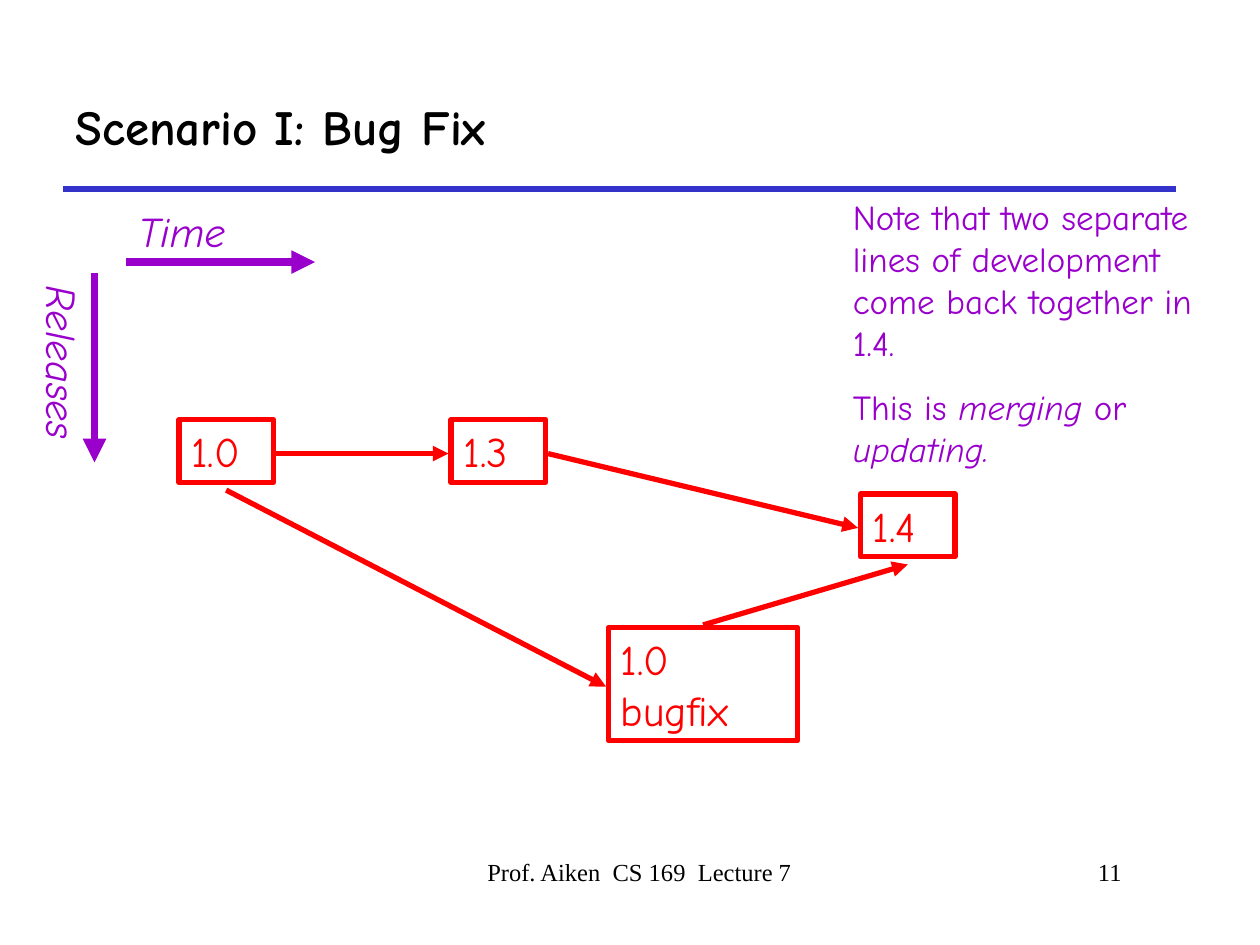
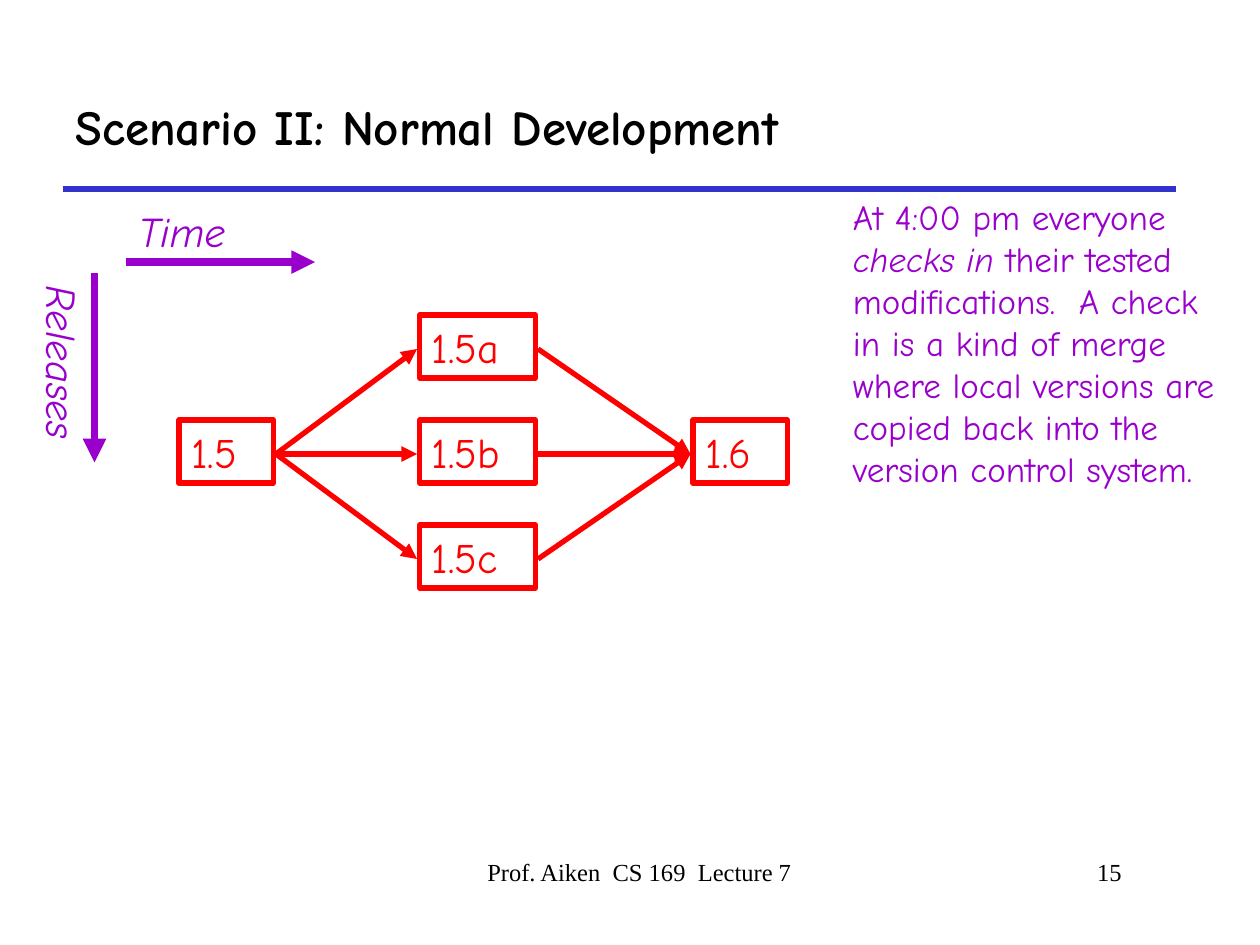
from lxml import etree
from pptx import Presentation
from pptx.dml.color import RGBColor
from pptx.enum import shapes, text
from pptx.oxml import ns
from pptx.util import Inches, Pt

COLORS = {"ink": "000000", "rule": "3333CC", "release": "FF0000", "note": "9900CC"}
HAND, SERIF = "Comic Neue", "Times New Roman"
AXES = (0.5, 1.58, 2, 2.09)
NOTE = (6.67, 1.5, 3.08, 2.28)
DIAGRAM = (1.42, 2.5, 6.16, 3.38)
FOOTER = (3.08, 6.75, 5.92, 0.5)
BOX_W, BOX_H = 0.75, 0.5
GAP, GAP_BELOW = 0.02, 0.06  # space between a release box and its arrows


def color(name):
    return RGBColor.from_string(COLORS[name])


def write(shape, paragraphs, size, tint, font=HAND, bold=False, before=0,
          align=text.PP_ALIGN.LEFT, anchor=text.MSO_ANCHOR.TOP, grow=True):
    """Fill a shape with paragraphs, each a list of (words, italic) runs."""
    frame = shape.text_frame
    frame.word_wrap = True
    frame.vertical_anchor = anchor
    if grow:
        frame.auto_size = text.MSO_AUTO_SIZE.SHAPE_TO_FIT_TEXT
    for i, runs in enumerate(paragraphs):
        paragraph = frame.add_paragraph() if i else frame.paragraphs[0]
        paragraph.alignment = align
        paragraph.space_before = Pt(before)
        for words, italic in runs:
            run = paragraph.add_run()
            run.text = words
            run.font.name, run.font.size = font, Pt(size)
            run.font.bold, run.font.italic = bold, italic
            run.font.color.rgb = color(tint)


def text_box(slide, box, paragraphs, size, tint, **style):
    label = slide.shapes.add_textbox(*map(Inches, box))
    write(label, paragraphs, size, tint, **style)
    return label


def line(slide, start, end, tint, width, arrow=True):
    connector = slide.shapes.add_connector(
        shapes.MSO_CONNECTOR.STRAIGHT, *map(Inches, (*start, *end)))
    connector.line.color.rgb = color(tint)
    connector.line.width = Pt(width)
    if arrow:
        etree.SubElement(connector.line._get_or_add_ln(), ns.qn("a:tailEnd"), type="triangle")
    etree.SubElement(connector._element.spPr, ns.qn("a:effectLst"))


def add_header(slide, title, box=(0.5, 0.5, 8.83, 1)):
    left, top, width, height = box
    bottom = top + height
    line(slide, (left, bottom), (left + width, bottom), "rule", 3, arrow=False)
    text_box(slide, box, [[(title, False)]], 28, "ink", bold=True,
             anchor=text.MSO_ANCHOR.MIDDLE, grow=False)


def add_footer(slide, number, box=FOOTER):
    left, top, width, height = box
    parts = [("Prof. Aiken  CS 169  Lecture 7", 0, 3.75, text.PP_ALIGN.CENTER),
             (number, width - 2.08, 2.08, text.PP_ALIGN.RIGHT)]
    for words, offset, part_width, align in parts:
        part = text_box(slide, (left + offset, top, part_width, height), [[(words, False)]],
                        14, "ink", font=SERIF, align=align, grow=False)
        properties = part.text_frame.paragraphs[0]._p.get_or_add_pPr()
        properties.set("marL", str(Inches(0.24)))
        properties.set("indent", "0")


def add_axes(slide, box=AXES):
    left, top, width, height = box
    # Time runs to the right
    time_y = top + 0.5
    line(slide, (left + 0.5, time_y), (left + width, time_y), "note", 4.5)
    text_box(slide, (left + 0.5, top, 1.5, 0.5), [[("Time", True)]], 24, "note", before=15)
    # Releases run downwards
    releases_x = left + 0.25
    line(slide, (releases_x, top + 0.59), (releases_x, top + height), "note", 4.5)
    releases = text_box(slide, (left - 0.83, top + 1.17, 1.67, 0.5),
                        [[("Releases", True)]], 24, "note", before=15)
    releases.rotation = 90


def add_release(slide, name, left, top, width=BOX_W, height=BOX_H):
    """Draw a release box and return the points where arrows meet its sides."""
    release = slide.shapes.add_shape(shapes.MSO_SHAPE.RECTANGLE,
                                     *map(Inches, (left, top, width, height)))
    release.shadow.inherit = False
    release.fill.background()
    release.line.color.rgb = color("release")
    release.line.width = Pt(3)
    write(release, [[(name, False)]], 24, "release", before=15)
    center, middle = left + width / 2, top + height / 2 + GAP
    return {"left": (left - GAP, middle), "right": (left + width + GAP, middle),
            "top": (center, top - GAP), "bottom": (center, top + height + GAP_BELOW)}


def add_arrows(slide, pairs):
    for start, end in pairs:
        line(slide, start, end, "release", 3)


def bug_fix_diagram(slide, box=DIAGRAM):
    left, top, width, height = box
    row = top + 0.83
    first = add_release(slide, "1.0", left, row)
    third = add_release(slide, "1.3", left + 2.16, row)
    bugfix = add_release(slide, "1.0 bugfix", left + 3.41, top + height - 0.9, 1.5, 0.9)
    merged = add_release(slide, "1.4", left + width - BOX_W, top + 1.42)
    add_arrows(slide, [(first["right"], third["left"]), (first["bottom"], bugfix["left"]),
                       (third["right"], merged["left"]), (bugfix["top"], merged["bottom"])])


def development_diagram(slide, box=DIAGRAM):
    left, top, _, _ = box
    pitch = 2.5 / 3
    base = add_release(slide, "1.5", left, top + pitch)
    merged = add_release(slide, "1.6", left + 4.08, top + pitch)
    for i, name in enumerate(("1.5a", "1.5b", "1.5c")):
        branch = add_release(slide, name, left + 1.91, top + i * pitch, 0.92)
        add_arrows(slide, [(base["right"], branch["left"]), (branch["right"], merged["left"])])


def add_scenario(deck, title, number, draw_diagram, note):
    slide = deck.slides.add_slide(deck.slide_layouts[6])
    add_header(slide, title)
    add_axes(slide)
    draw_diagram(slide)
    text_box(slide, NOTE, note, 20, "note", before=12.5)
    add_footer(slide, number)


def main():
    deck = Presentation()
    deck.slide_width, deck.slide_height = Inches(10), Inches(7.5)
    add_scenario(deck, "Scenario I: Bug Fix", "11", bug_fix_diagram, [
        [("Note that two separate lines of development come back together in 1.4.", False)],
        [("This is ", False), ("merging", True), (" or ", False), ("updating.", True)],
    ])
    add_scenario(deck, "Scenario II: Normal Development", "15", development_diagram, [
        [("At 4:00 pm everyone ", False), ("checks in", True),
         (" their tested modifications.  A check in is a kind of merge where local "
          "versions are copied back into the version control system.", False)],
    ])
    deck.save("out.pptx")


if __name__ == "__main__":
    main()
